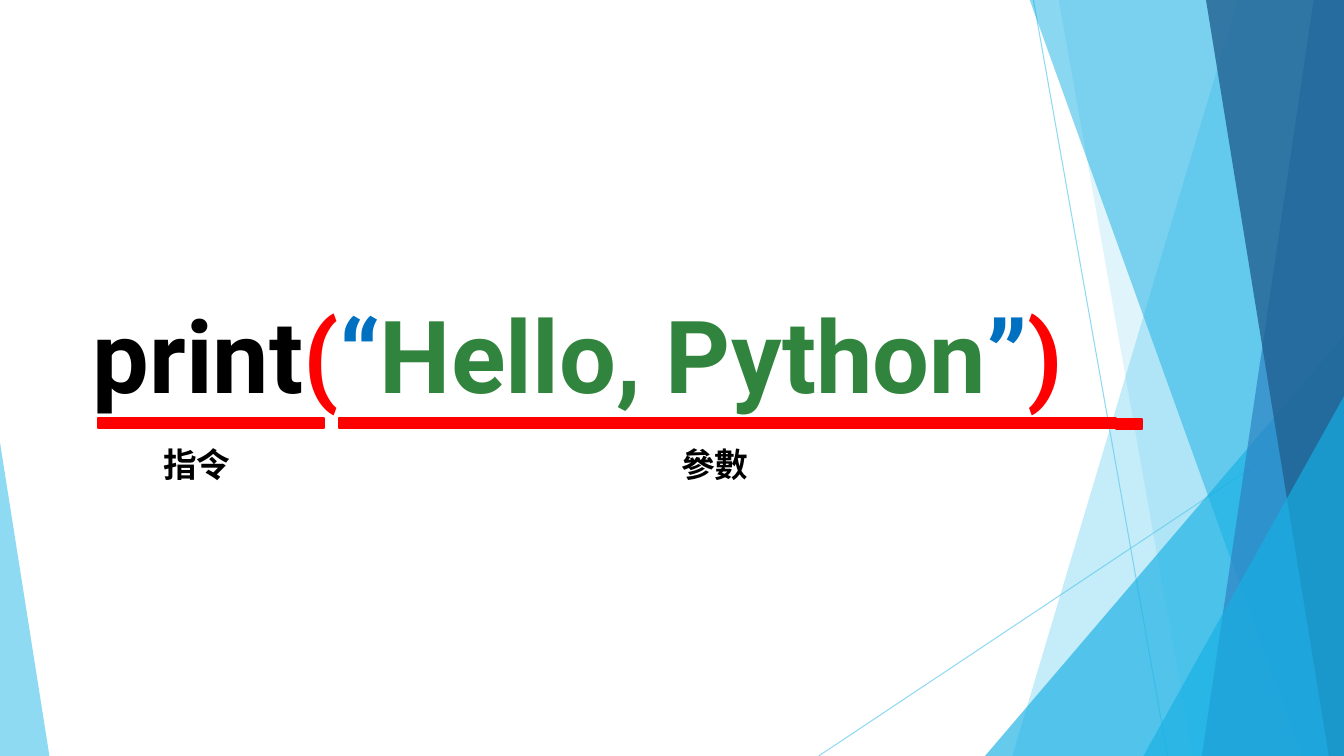
from lxml import etree
from pptx import Presentation
from pptx.dml.color import RGBColor
from pptx.enum.shapes import MSO_CONNECTOR, MSO_SHAPE
from pptx.enum.text import MSO_ANCHOR, MSO_AUTO_SIZE, PP_ALIGN
from pptx.oxml.ns import qn
from pptx.util import Inches, Pt

STRAIGHT = MSO_CONNECTOR.STRAIGHT
RECTANGLE = MSO_SHAPE.RECTANGLE
TRIANGLE = MSO_SHAPE.ISOSCELES_TRIANGLE
LEFT = PP_ALIGN.LEFT
BOTTOM = MSO_ANCHOR.BOTTOM
NO_FIT = MSO_AUTO_SIZE.NONE
GROW = MSO_AUTO_SIZE.SHAPE_TO_FIT_TEXT

WIDTH, HEIGHT = 13.33, 7.5
FONT = "Roboto"
COLORS = {
    "sky": "5FCBEF", "cyan": "17B0E4", "blue": "2E83C3", "navy": "226292",
    "command": "000000", "bracket": "FF0000", "quote": "0070C0",
    "string": "31843D", "bar": "FF0000",
}


def color(name):
    return RGBColor.from_string(COLORS[name])


def set_opacity(shape, percent):
    """Make the first solid colour of a shape or line partly transparent."""
    rgb = next(shape._element.spPr.iter(qn("a:srgbClr")))
    etree.SubElement(rgb, qn("a:alpha")).set("val", str(percent * 1000))


def paint(shape, fill, opacity=100):
    shape.shadow.inherit = False
    shape.fill.solid()
    shape.fill.fore_color.rgb = color(fill)
    shape.line.fill.background()
    if opacity < 100:
        set_opacity(shape, opacity)


def add_thin_line(shapes, start, end):
    line = shapes.add_connector(STRAIGHT, *map(Inches, start + end))
    line.line.color.rgb = color("sky")
    line.line.width = Pt(0.75)
    set_opacity(line, 70)
    etree.SubElement(line._element.spPr, qn("a:effectLst"))


def add_band(shapes, top_left, bottom_left, fill, opacity):
    """Draw a slanted band that reaches the right edge of the slide."""
    top = -0.01
    points = [(WIDTH, top), (WIDTH, HEIGHT), (bottom_left, HEIGHT)]
    builder = shapes.build_freeform(Inches(top_left), Inches(top))
    builder.add_line_segments([(Inches(x), Inches(y)) for x, y in points])
    paint(builder.convert_to_shape(), fill, opacity)


def add_corner(shapes, left, top, width, apex, fill, opacity):
    """Draw a triangle that stands on the bottom edge of the slide."""
    box = map(Inches, (left, top, width, HEIGHT - top))
    triangle = shapes.add_shape(TRIANGLE, *box)
    triangle.adjustments[0] = apex
    paint(triangle, fill, opacity)


def add_backdrop(slide):
    shapes = slide.shapes.add_group_shape().shapes
    add_thin_line(shapes, (10.25, 0), (11.58, HEIGHT))
    add_thin_line(shapes, (WIDTH, 4.03), (8.12, HEIGHT))
    add_band(shapes, 12.28, 10.04, "sky", 36)
    add_band(shapes, 10.5, 11.83, "sky", 20)
    add_corner(shapes, 9.77, 3.33, 3.56, 1, "cyan", 66)
    add_band(shapes, 10.21, 12.91, "cyan", 50)
    add_band(shapes, 13.03, 11.92, "blue", 70)
    add_band(shapes, 11.96, 13.18, "navy", 80)
    add_corner(shapes, 11.34, 3.93, 1.99, 1, "cyan", 66)
    add_corner(shapes, 0, 4.39, 0.49, 0, "sky", 70)


def write_run(paragraph, text, color_name, size):
    run = paragraph.add_run()
    run.text = text
    style = {"name": FONT, "size": Pt(size), "bold": True}
    for attribute, value in style.items():
        setattr(run.font, attribute, value)
    run.font.color.rgb = color(color_name)


def fill_title(slide, left, top, width, height):
    title = slide.shapes.title
    place = {"left": left, "top": top, "width": width, "height": height}
    for attribute, value in place.items():
        setattr(title, attribute, Inches(value))
    frame = title.text_frame
    frame_format = {"auto_size": NO_FIT, "vertical_anchor": BOTTOM, "word_wrap": True}
    for attribute, value in frame_format.items():
        setattr(frame, attribute, value)
    paragraph = frame.paragraphs[0]
    paragraph.alignment = LEFT
    for text, color_name in [
        ("print", "command"), ("(", "bracket"), ("“", "quote"),
        ("Hello, Python", "string"), ("”", "quote"), (")", "bracket"),
    ]:
        write_run(paragraph, text, color_name, 72)


def add_bar(slide, left, top, width):
    box = map(Inches, (left, top, width, 0.1))
    bar = slide.shapes.add_shape(RECTANGLE, *box)
    paint(bar, "bar")
    bar.line.color.rgb = color("bar")
    bar.line.width = Pt(1.5)


def add_caption(slide, text, left, top):
    box = slide.shapes.add_textbox(*map(Inches, (left, top, 0.88, 0.5)))
    frame = box.text_frame
    frame.word_wrap = False
    frame.auto_size = GROW
    write_run(frame.paragraphs[0], text, "command", 24)


def add_underlines(slide, top):
    """Underline the command and its argument, and name both parts."""
    for left, offset, width in [
        (0.97, 0, 2.24), (3.36, 0, 0.26), (11.07, 0.01, 0.26), (3.62, 0, 7.45),
    ]:
        add_bar(slide, left, top + offset, width)
    for text, left in [("指令", 1.52), ("參數", 6.66)]:
        add_caption(slide, text, left, top + 0.2)


def main():
    presentation = Presentation()
    presentation.slide_width = Inches(WIDTH)
    presentation.slide_height = Inches(HEIGHT)
    slide = presentation.slides.add_slide(presentation.slide_layouts[5])
    add_backdrop(slide)
    fill_title(slide, 0.82, 2.15, 10.67, 2)
    add_underlines(slide, 4.15)
    presentation.save("out.pptx")


if __name__ == "__main__":
    main()
